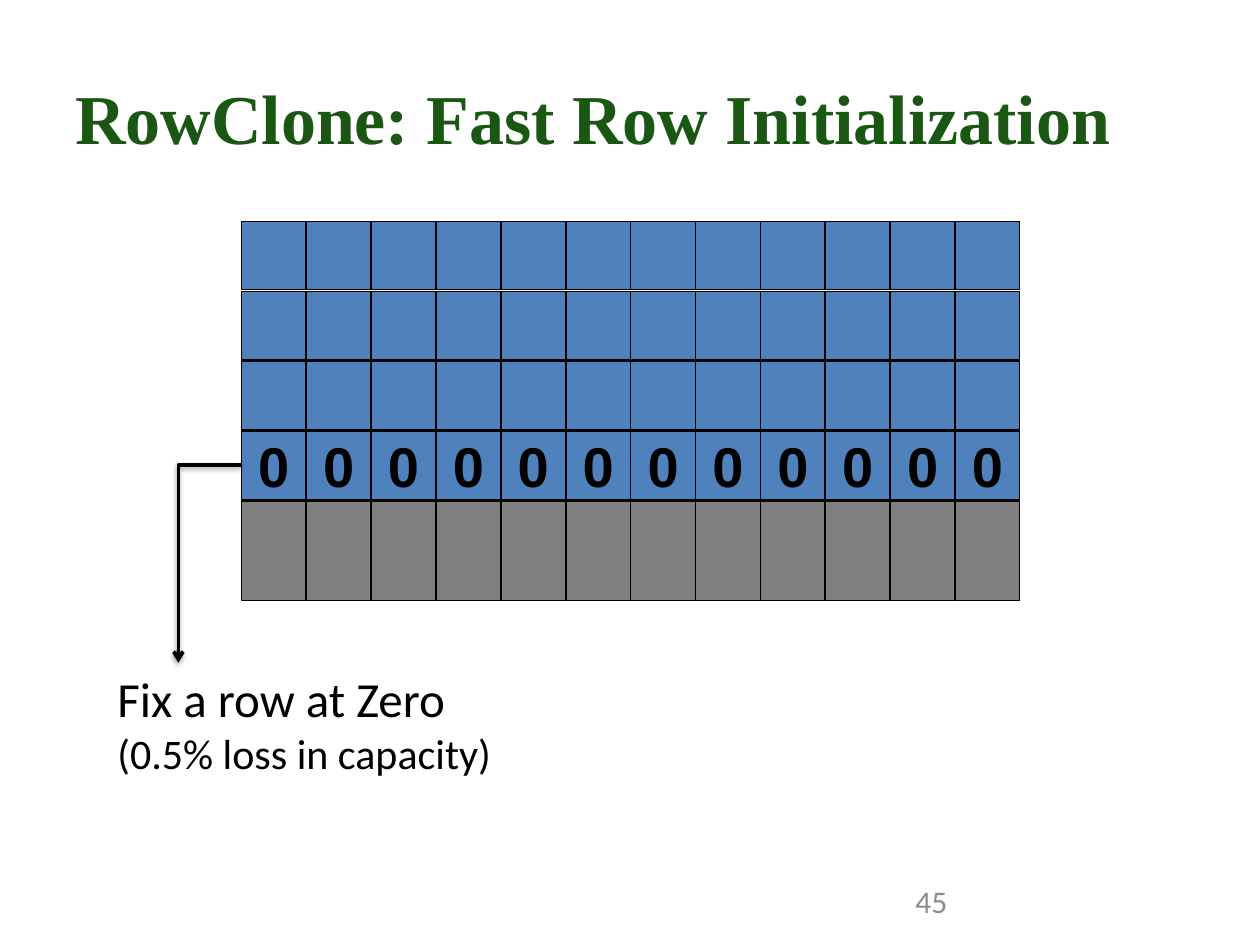
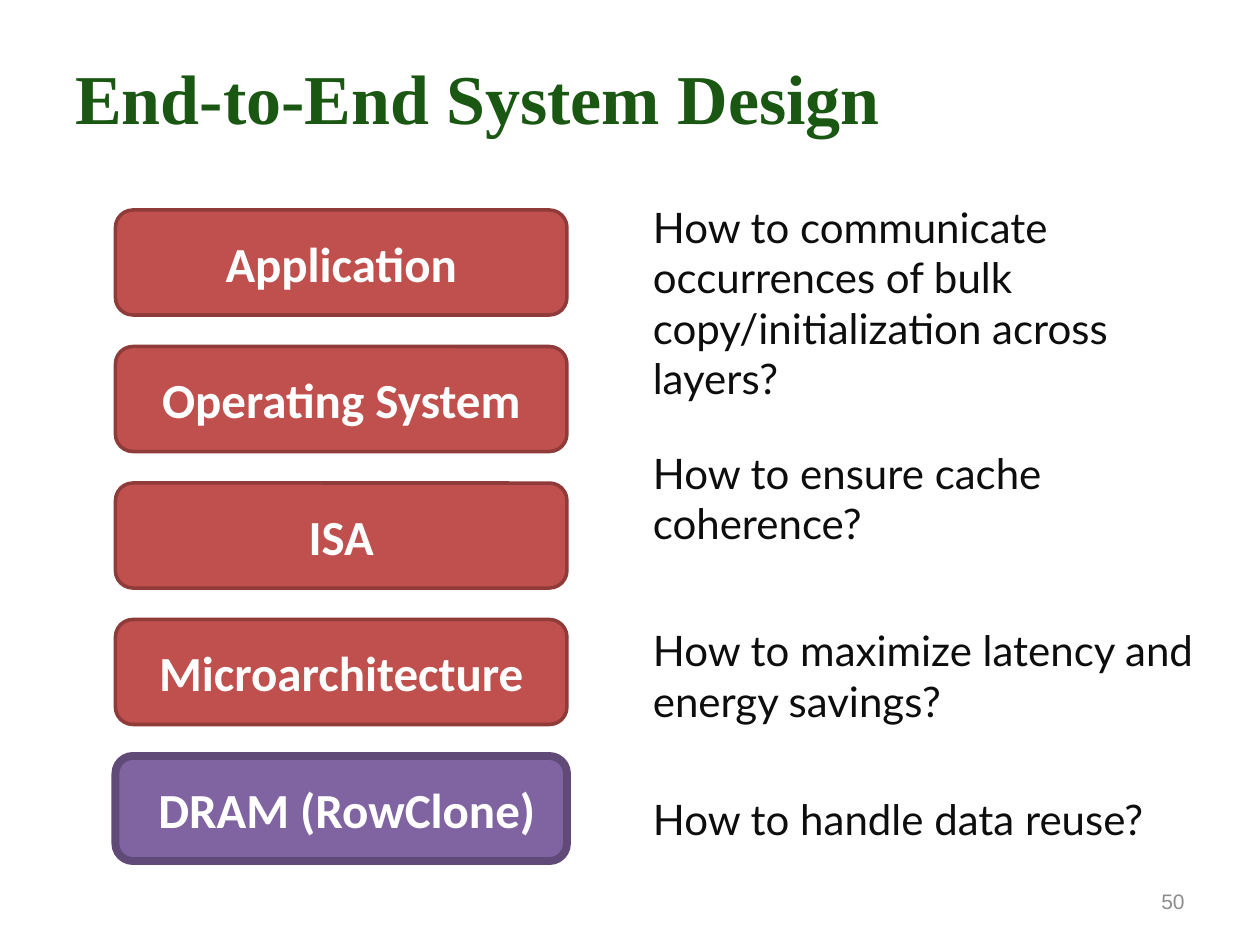
from dataclasses import dataclass

from lxml import etree
from pptx import Presentation
from pptx.dml.color import RGBColor
from pptx.enum.shapes import MSO_CONNECTOR, MSO_SHAPE
from pptx.enum.text import MSO_ANCHOR, PP_ALIGN
from pptx.oxml.ns import qn
from pptx.util import Inches, Pt

RECT, ROUNDED = MSO_SHAPE.RECTANGLE, MSO_SHAPE.ROUNDED_RECTANGLE
LEFT, CENTER, RIGHT = PP_ALIGN.LEFT, PP_ALIGN.CENTER, PP_ALIGN.RIGHT
TOP, MIDDLE = MSO_ANCHOR.TOP, MSO_ANCHOR.MIDDLE


@dataclass(frozen=True)
class Theme:
    black: str = "000000"
    white: str = "FFFFFF"
    title_green: str = "1A5712"
    page_gray: str = "8C8C8C"
    question_ink: str = "0D0D0D"
    memory_blue: str = "4F81BD"
    buffer_gray: str = "808080"
    layer_red: str = "C0504D"
    layer_edge: str = "8E3B39"
    dram_purple: str = "8064A2"
    dram_edge: str = "5F4A78"
    title_font: str = "Times New Roman"
    body_font: str = "Calibri"
    label_font: str = "Arial"
    question_font: str = "Lato"
    title_size: int = 40
    digit_size: int = 32
    body_size: int = 28
    detail_size: int = 24
    page_size: int = 18
    small_page_size: int = 12


theme = Theme()
deck = Presentation()
deck.slide_width, deck.slide_height = Inches(10), Inches(7.5)
UNIT = deck.slide_width / 120  # the grid has 120 columns and 90 rows


def place(slide, box, kind=None, fill=None, edge=None, weight=0.75):
    """Add a text box, or a filled shape if a kind is given; box is in grid units."""
    bounds = [round(value * UNIT) for value in box]
    if kind is None:
        return slide.shapes.add_textbox(*bounds)
    shape = slide.shapes.add_shape(kind, *bounds)
    shape.shadow.inherit = False
    shape.fill.solid()
    shape.fill.fore_color.rgb = RGBColor.from_string(fill)
    shape.line.color.rgb = RGBColor.from_string(edge)
    shape.line.width = Pt(weight)
    return shape


def write(shape, *lines, sizes, font=theme.body_font, color=theme.black,
          bold=False, align=LEFT, anchor=TOP, wrap=True):
    frame = shape.text_frame
    frame.word_wrap, frame.vertical_anchor = wrap, anchor
    frame.text = "\n".join(lines)
    for paragraph, size in zip(frame.paragraphs, sizes):
        paragraph.alignment = align
        style = paragraph.runs[0].font
        style.name, style.size, style.bold = font, Pt(size), bold
        style.color.rgb = RGBColor.from_string(color)


# Titles and page numbers
pages = [
    ("RowClone: Fast Row Initialization", 3.6, "45",
     dict(sizes=[theme.page_size], font=theme.body_font, align=LEFT)),
    ("End-to-End System Design", 1.7, "50",
     dict(sizes=[theme.small_page_size], font=theme.label_font, align=RIGHT)),
]
slides = []
for title, title_top, number, number_format in pages:
    slide = deck.slides.add_slide(deck.slide_layouts[6])
    write(place(slide, (6, title_top, 108, 15)), title, sizes=[theme.title_size],
          font=theme.title_font, color=theme.title_green, bold=True, anchor=MIDDLE)
    write(place(slide, (86, 83.4, 28, 4.8)), number, color=theme.page_gray,
          anchor=MIDDLE, **number_format)
    slides.append(slide)
initialization, design = slides

# Memory array: four rows of cells above the row buffer
ARRAY_LEFT, ARRAY_TOP = 23, 21.1
CELL_W, CELL_H, BUFFER_H = 6.15, 6.5, 9.5
STEP_X, STEP_Y = 6.18, 6.65
COLUMNS, ZERO_ROW, BUFFER_ROW = 12, 3, 4
for row in range(BUFFER_ROW + 1):
    is_buffer = row == BUFFER_ROW
    for column in range(COLUMNS):
        cell = place(initialization,
                     (ARRAY_LEFT + column * STEP_X, ARRAY_TOP + row * STEP_Y,
                      CELL_W, BUFFER_H if is_buffer else CELL_H),
                     RECT, theme.buffer_gray if is_buffer else theme.memory_blue,
                     theme.black)
        if row == ZERO_ROW:
            write(cell, "0", sizes=[theme.digit_size], font=theme.label_font,
                  bold=True, align=CENTER, anchor=MIDDLE)

# Note on the zero row and the bent arrow down to it
NOTE_TOP = 63.1
write(place(initialization, (10, NOTE_TOP, 38.3, 11.8)),
      "Fix a row at Zero", "(0.5% loss in capacity)",
      sizes=[theme.body_size, theme.detail_size], wrap=False)
zero_middle = ARRAY_TOP + ZERO_ROW * STEP_Y + CELL_H / 2
note_arrow = initialization.shapes.add_connector(
    MSO_CONNECTOR.ELBOW,
    *[round(value * UNIT) for value in (ARRAY_LEFT, zero_middle, 17, NOTE_TOP)])
note_arrow.line.color.rgb = RGBColor.from_string(theme.black)
note_arrow.line.width = Pt(2)
arrow_properties = note_arrow._element.spPr
arrow_properties.find(qn("a:prstGeom")).set("prst", "bentConnector2")
etree.SubElement(arrow_properties.find(qn("a:ln")), qn("a:tailEnd"), type="arrow")
effects = etree.SubElement(arrow_properties, qn("a:effectLst"))
shadow = etree.SubElement(effects, qn("a:outerShdw"), blurRad=str(Pt(3.1)),
                          dist=str(Pt(1.6)), dir="5400000", rotWithShape="0")
shadow_color = etree.SubElement(shadow, qn("a:srgbClr"), val=theme.black)
etree.SubElement(shadow_color, qn("a:alpha"), val="38000")

# System layers, from the application down to memory
red_style = (theme.layer_red, theme.layer_edge, 2)
purple_style = (theme.dram_purple, theme.dram_edge, 4.5)
layers = [
    ("Application", red_style),
    ("Operating System", red_style),
    ("ISA", red_style),
    ("Microarchitecture", red_style),
    (" DRAM (RowClone)", purple_style),
]
for level, (layer, style) in enumerate(layers):
    write(place(design, (11, 20 + 13 * level, 43, 10), ROUNDED, *style), layer,
          sizes=[theme.body_size], color=theme.white, bold=True,
          align=CENTER, anchor=MIDDLE)

# Design questions beside the layers
questions = [
    (18.6, 20.6, "How to communicate occurrences of bulk copy/initialization across layers?"),
    (42, 10.9, "How to ensure cache coherence?"),
    (58.9, 10.9, "How to maximize latency and energy savings?"),
    (75, 6, "How to handle data reuse?"),
]
for top, height, question in questions:
    write(place(design, (61, top, 55, height)), question, sizes=[theme.detail_size],
          font=theme.question_font, color=theme.question_ink)

deck.save("out.pptx")
